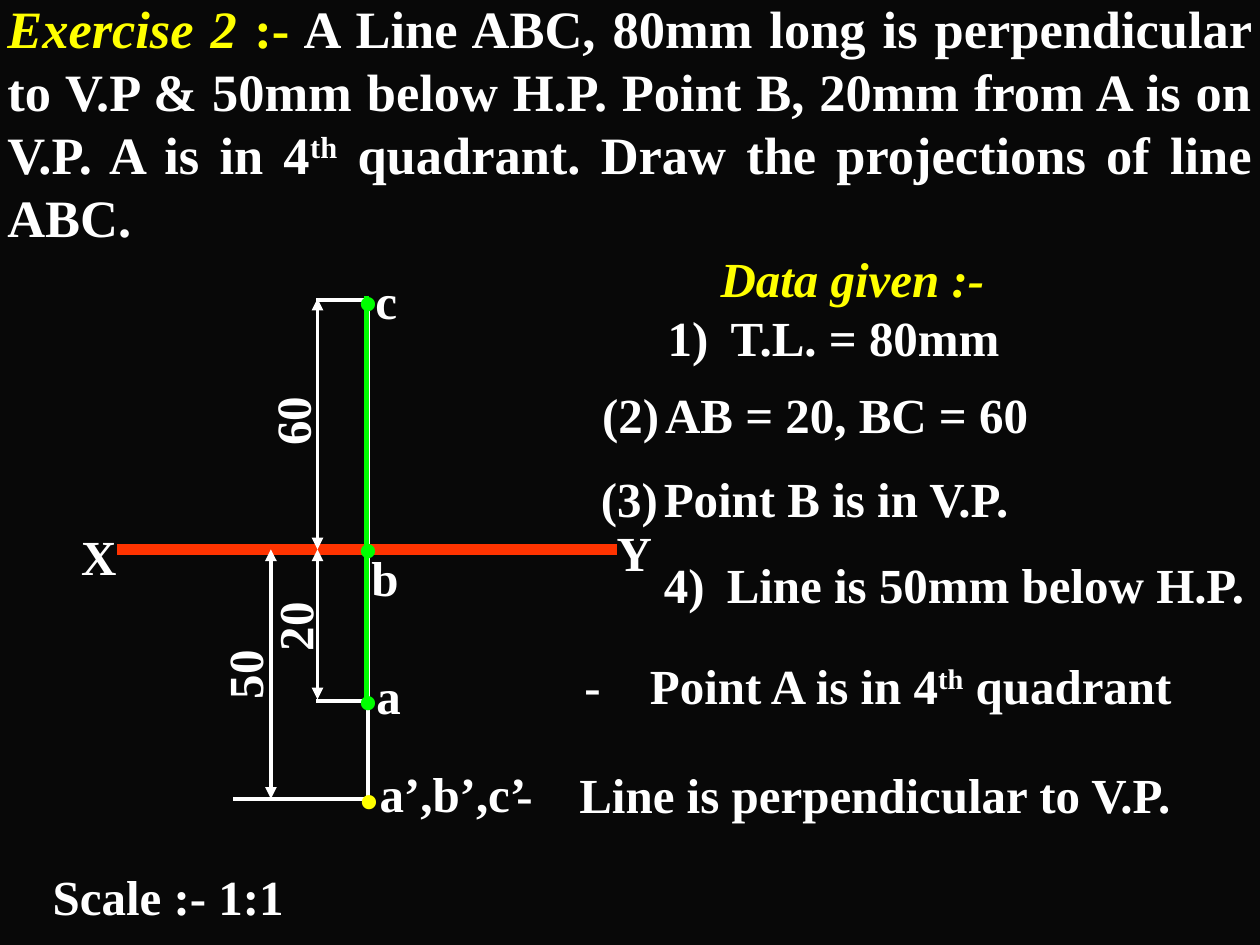
import pptx
import pptx.dml.color
import pptx.enum.shapes
import pptx.enum.text
import pptx.oxml.ns
import pptx.util
from lxml import etree

Inches = pptx.util.Inches
RGBColor = pptx.dml.color.RGBColor
ALIGN = pptx.enum.text.PP_ALIGN
qn = pptx.oxml.ns.qn

BLACK = RGBColor(0x08, 0x08, 0x08)
WHITE = RGBColor(0xFF, 0xFF, 0xFF)
YELLOW = RGBColor(0xFF, 0xFF, 0x00)
GREEN = RGBColor(0x00, 0xFF, 0x00)
RED = RGBColor(0xFF, 0x33, 0x00)


def write(paragraph, text, size=28, color=WHITE, italic=False, raised=False):
    """Add one bold run to a paragraph."""
    run = paragraph.add_run()
    run.text = text
    run.font.name = "Times New Roman"
    run.font.size = pptx.util.Pt(size)
    run.font.bold = True
    run.font.italic = italic
    run.font.color.rgb = color
    if raised:
        run.font._element.set("baseline", "30000")


class Drawing:
    """The current slide and its drawing style."""

    line_width = 2.25
    label_width = 1.37
    text_height = 0.57

    def __init__(self, slide):
        self.slide = slide
        slide.background.fill.solid()
        slide.background.fill.fore_color.rgb = BLACK

    def line(self, x1, y1, x2, y2, color=WHITE, width=line_width, arrows=False):
        connector = self.slide.shapes.add_connector(
            pptx.enum.shapes.MSO_CONNECTOR.STRAIGHT,
            Inches(x1), Inches(y1), Inches(x2), Inches(y2))
        connector.line.color.rgb = color
        connector.line.width = pptx.util.Pt(width)
        if arrows:
            outline = connector.line._get_or_add_ln()
            for end in ("a:headEnd", "a:tailEnd"):
                etree.SubElement(outline, qn(end), type="triangle")
        etree.SubElement(connector._element.spPr, qn("a:effectLst"))

    def box(self, left, top, width, height=text_height, align=ALIGN.LEFT,
            wrap=True, turned=False):
        """Add a text box and return its first paragraph."""
        shape = self.slide.shapes.add_textbox(
            Inches(left), Inches(top), Inches(width), Inches(height))
        shape.rotation = 270 if turned else 0
        frame = shape.text_frame
        frame.word_wrap = wrap
        frame.auto_size = pptx.enum.text.MSO_AUTO_SIZE.SHAPE_TO_FIT_TEXT
        paragraph = frame.paragraphs[0]
        paragraph.alignment = align
        return paragraph

    def label(self, text, left, top, width=label_width, turned=False):
        write(self.box(left, top, width, align=ALIGN.CENTER, turned=turned), text)

    def point(self, left, top, color=GREEN):
        write(self.box(left, top, 0.96, 0.94), ".", size=50, color=color)

    def item(self, text, left, top, width, indent=0.5, number=None, wrap=False):
        """Add a hanging line, numbered automatically when a number is given."""
        paragraph = self.box(left, top, width, wrap=wrap)
        properties = paragraph._p.get_or_add_pPr()
        properties.set("marL", str(Inches(indent)))
        properties.set("indent", str(-Inches(indent)))
        if number:
            bullet_color = etree.SubElement(properties, qn("a:buClr"))
            etree.SubElement(bullet_color, qn("a:srgbClr"), val=str(WHITE))
            etree.SubElement(properties, qn("a:buAutoNum"),
                             type="arabicParenR", startAt=str(number))
        write(paragraph, text)
        return paragraph


def main():
    deck = pptx.Presentation()
    deck.slide_width, deck.slide_height = Inches(10), Inches(7.5)
    drawing = Drawing(deck.slides.add_slide(deck.slide_layouts[6]))

    # Projector, XY line and dimension lines
    xy, front_view = 4.36, 6.34
    drawing.line(2.92, 6.32, 2.92, 2.4)
    drawing.line(0.93, xy, 4.9, xy, color=RED, width=6)
    for x, end in ((2.52, 2.37), (2.52, 5.55), (2.15, front_view)):
        drawing.line(x, xy, x, end, arrows=True)
    drawing.line(2.91, front_view, 1.85, front_view)
    for y in (5.56, 2.38):
        drawing.line(2.51, y, 2.92, y)

    # Front view point and labels
    drawing.point(2.75, 5.67, color=YELLOW)
    for name, left, top in (("a", 2.4, 5.23), ("b", 2.37, 4.3), ("c", 2.38, 2.1),
                            ("a’,b’,c’", 2.91, 6.01),
                            ("Y", 4.35, 4.1), ("X", 0.1, 4.13)):
        drawing.label(name, left, top)
    for length, left, top in (("50", 1.25, 5.07), ("20", 1.65, 4.69),
                              ("60", 1.63, 3.06)):
        drawing.label(length, left, top, turned=True)
    drawing.label("Scale :- 1:1", 0.25, 6.83, width=2.17)

    # Exercise statement
    exercise = drawing.box(-0.04, -0.08, 10.08, 2.1, align=ALIGN.JUSTIFY)
    write(exercise, "Exercise 2", size=30, color=YELLOW, italic=True)
    write(exercise, " :-", size=30, color=YELLOW)
    write(exercise, " A Line ABC, 80mm long is perpendicular to V.P & 50mm below "
          "H.P. Point B, 20mm from A is on V.P. A is in 4", size=30)
    write(exercise, "th", size=30, raised=True)
    write(exercise, " quadrant. Draw the projections of line ABC.", size=30)

    # Data given
    write(drawing.box(5.62, 1.92, 2.61), "Data given :-", color=YELLOW, italic=True)
    drawing.item("T.L. = 80mm", 5.2, 2.39, 2.86, number=1)
    drawing.item("(2)\tAB = 20, BC = 60", 4.68, 3, 4.58)
    drawing.item("(3)\tPoint B is in V.P.", 4.67, 3.67, 4.62)
    drawing.item("Line is 50mm below H.P.", 5.17, 4.35, 4.84, number=4)
    quadrant = drawing.item("-\tPoint A is in 4", 4.54, 5.15, 4.99,
                            indent=0.52, wrap=True)
    write(quadrant, "th", raised=True)
    write(quadrant, " quadrant")
    drawing.item("-\tLine is perpendicular to V.P.", 4, 6.02, 6.49)

    # Top view of line ABC
    drawing.line(2.91, 2.35, 2.91, 5.56, color=GREEN, width=3)
    for top in (1.72, 4.89, 3.68):
        drawing.point(2.74, top)

    deck.save("out.pptx")


if __name__ == "__main__":
    main()
